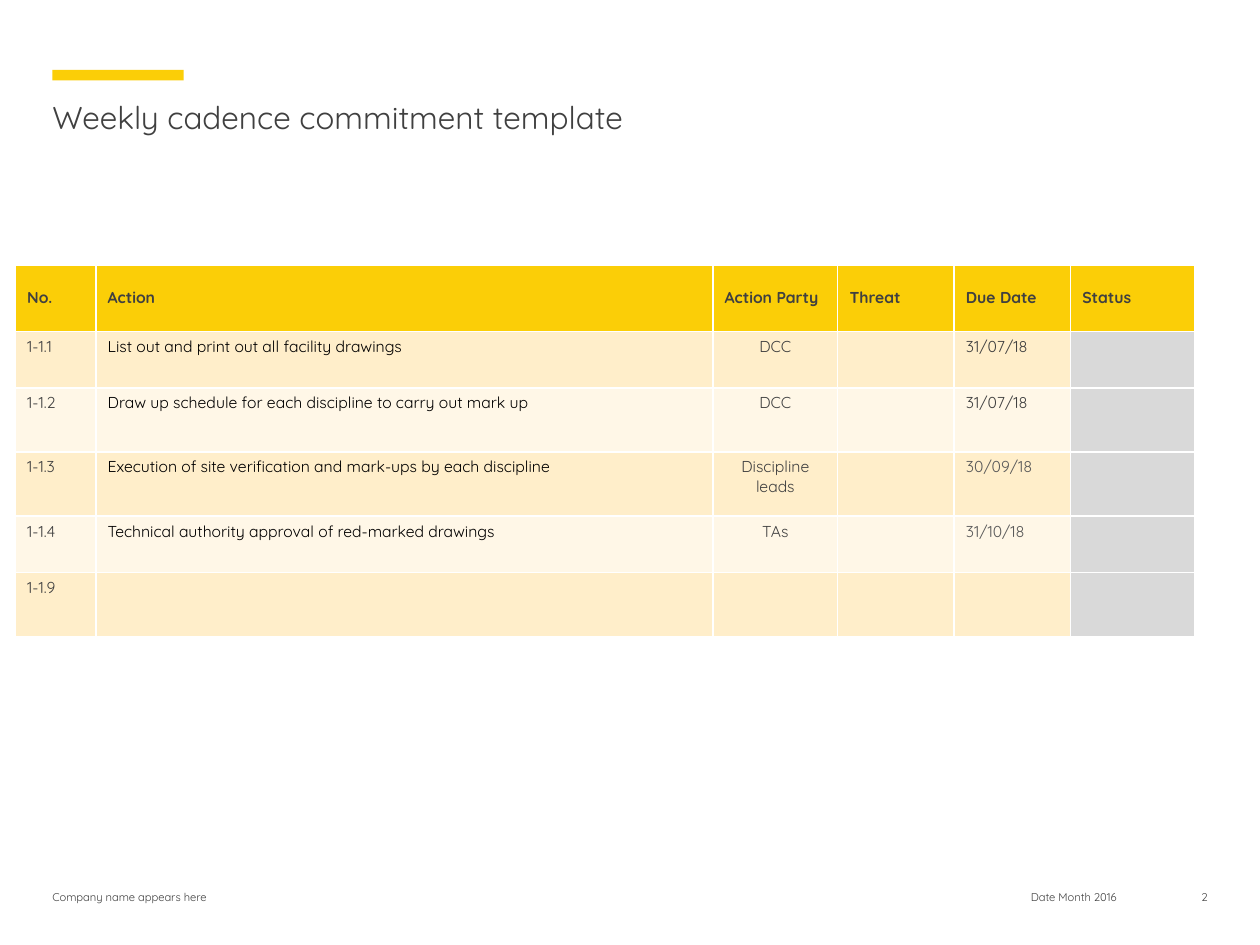
from lxml import etree
from pptx import Presentation
from pptx.dml.color import RGBColor
from pptx.enum.shapes import MSO_SHAPE
from pptx.enum.text import MSO_ANCHOR, PP_ALIGN
from pptx.oxml.ns import qn
from pptx.util import Pt

RECTANGLE = MSO_SHAPE.RECTANGLE
TOP, MIDDLE = MSO_ANCHOR.TOP, MSO_ANCHOR.MIDDLE
LEFT, CENTER, RIGHT = PP_ALIGN.LEFT, PP_ALIGN.CENTER, PP_ALIGN.RIGHT

FONT = "Quicksand"
COLORS = {
    "yellow": "FBCE07",
    "band_dark": "FFEECA",
    "band_light": "FFF7E7",
    "status": "D9D9D9",
    "text": "404040",
    "action": "000000",
    "muted": "595959",
    "border": "FFFFFF",
}
COLUMN_WIDTHS = [46, 352.6, 71.4, 66.5, 66.5, 71.3]
ROW_HEIGHTS = [38, 32.4, 36.6, 36.6, 32.4, 36.6]
COLUMN_ALIGNMENTS = [LEFT, LEFT, CENTER, LEFT, LEFT, LEFT]
HEADERS = ["No.", "Action", "Action Party", "Threat", "Due Date", "Status"]
ACTIONS = [
    ("1-1.1", "List out and print out all facility drawings", "DCC", "31/07/18", "text"),
    ("1-1.2", "Draw up schedule for each discipline to carry out mark up", "DCC",
     "31/07/18", "text"),
    ("1-1.3", "Execution of site verification and mark-ups by each discipline",
     "Discipline leads", "30/09/18", "muted"),
    ("1-1.4", "Technical authority approval of red-marked drawings", "TAs",
     "31/10/18", "muted"),
    ("1-1.9", "", "", "", "text"),
]


def rgb(name):
    """Return the palette colour with this name."""
    return RGBColor.from_string(COLORS[name])


def write_text(frame, text, size=9, color="text", bold=False, align=LEFT):
    """Write one formatted paragraph into a text frame."""
    paragraph = frame.paragraphs[0]
    paragraph.alignment = align
    run = paragraph.add_run()
    run.text = text
    run.font.name = FONT
    run.font.size = Pt(size)
    run.font.bold = bold
    run.font.color.rgb = rgb(color)


def add_label(slide, box, text, **text_format):
    """Add a text box without insets."""
    frame = slide.shapes.add_textbox(*map(Pt, box)).text_frame
    frame.margin_left = frame.margin_top = frame.margin_right = frame.margin_bottom = 0
    frame.word_wrap = True
    frame.vertical_anchor = TOP
    write_text(frame, text, **text_format)


def add_heading(slide, left, top, width):
    """Add the accent bar and the title below it."""
    bar = slide.shapes.add_shape(RECTANGLE, Pt(left), Pt(top), Pt(75), Pt(6))
    bar.shadow.inherit = False
    bar.fill.solid()
    bar.fill.fore_color.rgb = rgb("yellow")
    bar.line.fill.background()
    add_label(slide, (left, top + 16.2, width, 59), "Weekly cadence commitment template", size=18)


def add_borders(cell):
    """Draw a thin border on all four sides of a cell."""
    properties = cell._tc.get_or_add_tcPr()
    for side in ("a:lnL", "a:lnR", "a:lnT", "a:lnB"):
        line = etree.SubElement(properties, qn(side), w=str(Pt(1)))
        fill = etree.SubElement(line, qn("a:solidFill"))
        etree.SubElement(fill, qn("a:srgbClr"), val=COLORS["border"])


def fill_cell(cell, text, fill, anchor=TOP, **text_format):
    """Format a table cell and write its text."""
    add_borders(cell)
    cell.fill.solid()
    cell.fill.fore_color.rgb = rgb(fill)
    cell.margin_left = cell.margin_right = Pt(6.8)
    cell.margin_top = cell.margin_bottom = Pt(3)
    cell.vertical_anchor = anchor
    if text:
        write_text(cell.text_frame, text, **text_format)


def add_action_table(slide, left, top):
    """Add the table of weekly commitments."""
    table = slide.shapes.add_table(
        len(ROW_HEIGHTS), len(COLUMN_WIDTHS), Pt(left), Pt(top),
        Pt(sum(COLUMN_WIDTHS)), Pt(sum(ROW_HEIGHTS))).table
    table.horz_banding = False
    for column, width in zip(table.columns, COLUMN_WIDTHS):
        column.width = Pt(width)
    for row, height in zip(table.rows, ROW_HEIGHTS):
        row.height = Pt(height)
    for cell, header in zip(table.rows[0].cells, HEADERS):
        fill_cell(cell, header, "yellow", anchor=MIDDLE, bold=True)
    for index, (number, action, party, due, due_color) in enumerate(ACTIONS):
        band = "band_light" if index % 2 else "band_dark"
        texts = [number, action, party, "", due, ""]
        fills = [band] * 5 + ["status"]
        colors = ["text", "action", "text", "text", due_color, "text"]
        cells = table.rows[index + 1].cells
        for cell, text, fill, color, align in zip(cells, texts, fills, colors, COLUMN_ALIGNMENTS):
            fill_cell(cell, text, fill, color=color, align=align)


def add_footer(slide, left, top, width):
    """Add the company name, date and page number."""
    height, right = 18.7, left + width
    add_label(slide, (left, top, 199, height), "Company name appears here", size=6.4)
    add_label(slide, (right - 119, top, 85, height), "Date Month 2016", size=6.4, align=CENTER)
    add_label(slide, (right - 21, top, 21, height), "2", size=6.4, align=RIGHT)


def main():
    """Build and save the slide."""
    presentation = Presentation()
    presentation.slide_width, presentation.slide_height = Pt(720), Pt(540)
    slide = presentation.slides.add_slide(presentation.slide_layouts[6])
    add_heading(slide, 30, 40, 660)
    add_action_table(slide, 8.8, 151.3)
    add_footer(slide, 30, 509, 660)
    presentation.save("out.pptx")


if __name__ == "__main__":
    main()
